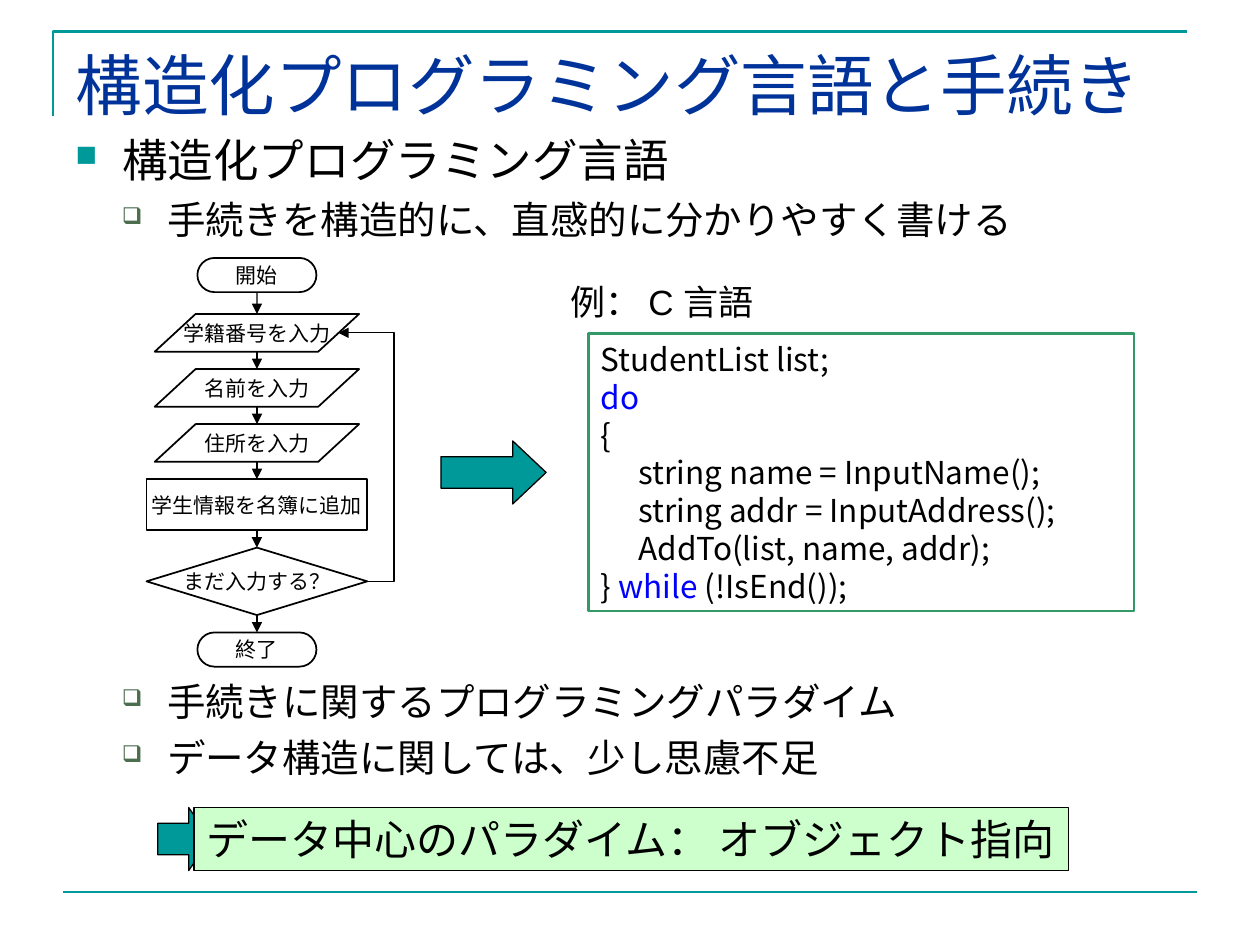
from lxml import etree
from pptx import Presentation
from pptx.dml.color import RGBColor
from pptx.enum.shapes import MSO_CONNECTOR, MSO_SHAPE
from pptx.enum.text import MSO_ANCHOR, PP_ALIGN
from pptx.oxml.ns import qn
from pptx.util import Cm, Pt

STRAIGHT, ELBOW = MSO_CONNECTOR.STRAIGHT, MSO_CONNECTOR.ELBOW
TERMINAL = MSO_SHAPE.ROUNDED_RECTANGLE
INPUT = MSO_SHAPE.FLOWCHART_DATA
PROCESS = MSO_SHAPE.FLOWCHART_PROCESS
DECISION = MSO_SHAPE.FLOWCHART_DECISION
RECTANGLE, RIGHT_ARROW = MSO_SHAPE.RECTANGLE, MSO_SHAPE.RIGHT_ARROW
MIDDLE, TOP = MSO_ANCHOR.MIDDLE, MSO_ANCHOR.TOP
LEFT, CENTER = PP_ALIGN.LEFT, PP_ALIGN.CENTER
SITE_TOP, SITE_BOTTOM = 0, 2


class Theme:
    teal, navy, black, white = "009999", "003399", "000000", "FFFFFF"
    code_border, keyword, banner, sub_bullet = "339966", "0000FF", "CCFFCC", "4C6D4E"
    title_font, body_font, code_font = "Times New Roman", "Arial", "Noto Sans CJK JP"
    title, heading, detail, banner_text, example, code, flow = 38, 26, 22, 24, 20, 18, 12
    line_height = 1.2


def style_shape(shape, fill, line, width):
    shape.shadow.inherit = False
    if fill:
        shape.fill.solid()
        shape.fill.fore_color.rgb = RGBColor.from_string(fill)
    else:
        shape.fill.background()
    shape.line.color.rgb = RGBColor.from_string(line)
    shape.line.width = Pt(width)


def style_paragraph(paragraph, size, font=Theme.body_font, color=Theme.black, align=LEFT):
    paragraph.alignment = align
    for run in paragraph.runs:
        run.font.size = Pt(size)
        run.font.name = font
        run.font.color.rgb = RGBColor.from_string(color)


presentation = Presentation()
presentation.slide_width, presentation.slide_height = Cm(25.4), Cm(19.05)
slide = presentation.slides.add_slide(presentation.slide_layouts[5])
shapes = slide.shapes
connectors = []  # connector, colour, width, has arrowhead

# Frame lines
builder = shapes.build_freeform(Cm(1.07), Cm(2.34))
builder.add_line_segments([(Cm(1.07), Cm(0.64)), (Cm(23.93), Cm(0.64))], close=False)
style_shape(builder.convert_to_shape(), None, Theme.teal, 1.5)
footer = shapes.add_connector(STRAIGHT, Cm(1.27), Cm(17.98), Cm(24.13), Cm(17.98))
connectors.append((footer, Theme.teal, 1.5, False))

# Title
title = shapes.title
title.left, title.top, title.width, title.height = Cm(1.27), Cm(0.8), Cm(22.86), Cm(1.78)
title.text_frame.text = "構造化プログラミング言語と手続き"
title.text_frame.vertical_anchor = MIDDLE
style_paragraph(title.text_frame.paragraphs[0], Theme.title, Theme.title_font, Theme.navy)

# Bulleted text above and below the flowchart
levels = [  # size, margin, indent, bullet, colour, bullet size
    (Theme.heading, 0.95, -0.95, "■", Theme.teal, 65),
    (Theme.detail, 1.85, -0.91, "❑", Theme.sub_bullet, 60),
]
blocks = [
    (2.54, [(0, "構造化プログラミング言語"),
            (1, "手続きを構造的に、直感的に分かりやすく書ける")]),
    (13.54, [(1, "手続きに関するプログラミングパラダイム"),
             (1, "データ構造に関しては、少し思慮不足")]),
]
for top, items in blocks:
    frame = shapes.add_textbox(Cm(1.27), Cm(top), Cm(22.86), Cm(2.97)).text_frame
    frame.word_wrap = True
    frame.text = "\n".join(text for level, text in items)
    for index, (paragraph, (level, text)) in enumerate(zip(frame.paragraphs, items)):
        size, margin, indent, bullet, color, percent = levels[level]
        paragraph.level = level
        properties = paragraph._p.get_or_add_pPr()
        properties.set("marL", str(Cm(margin)))
        properties.set("indent", str(Cm(indent)))
        bullet_color = etree.SubElement(properties, qn("a:buClr"))
        etree.SubElement(bullet_color, qn("a:srgbClr"), val=color)
        etree.SubElement(properties, qn("a:buSzPct"), val=str(percent * 1000))
        etree.SubElement(properties, qn("a:buChar"), char=bullet)
        paragraph.line_spacing = Pt(size * Theme.line_height)
        if index:
            paragraph.space_before = Pt(5.5)
        style_paragraph(paragraph, size)

# Flowchart steps: shape, text, width, height, gap below
steps = [
    (TERMINAL, "開始", 2.4, 0.69, 0.44),
    (INPUT, "学籍番号を入力", 4.12, 0.76, 0.35),
    (INPUT, "名前を入力", 4.12, 0.76, 0.35),
    (INPUT, "住所を入力", 4.12, 0.76, 0.35),
    (PROCESS, "学生情報を名簿に追加", 4.45, 1.03, 0.35),
    (DECISION, "まだ入力する？", 4.45, 1.36, 0.35),
    (TERMINAL, "終了", 2.4, 0.69, 0),
]
flow_center, top = 5.18, 5.2
flow_shapes = []
for kind, text, width, height, gap in steps:
    shape = shapes.add_shape(kind, Cm(flow_center - width / 2), Cm(top), Cm(width), Cm(height))
    if kind == TERMINAL:
        shape.adjustments[0] = 0.5
    style_shape(shape, Theme.white, Theme.black, 1)
    shape.text_frame.text = text
    shape.text_frame.word_wrap = False
    shape.text_frame.vertical_anchor = MIDDLE
    style_paragraph(shape.text_frame.paragraphs[0], Theme.flow, align=CENTER)
    flow_shapes.append(shape)
    top += height + gap

# Arrows between consecutive steps
for upper, lower in zip(flow_shapes, flow_shapes[1:]):
    arrow = shapes.add_connector(STRAIGHT, Cm(flow_center), upper.top + upper.height,
                                 Cm(flow_center), lower.top)
    if upper.auto_shape_type != INPUT:
        arrow.begin_connect(upper, SITE_BOTTOM)
    if lower.auto_shape_type != INPUT:
        arrow.end_connect(lower, SITE_TOP)
    connectors.append((arrow, Theme.black, 0.75, True))

# Loop back from the decision to the first input
first_input, decision = flow_shapes[1], flow_shapes[5]
loop = shapes.add_connector(ELBOW, decision.left + decision.width,
                            decision.top + decision.height // 2,
                            Cm(6.82), first_input.top + first_input.height // 2)
adjustments = loop._element.spPr.find(qn("a:prstGeom")).get_or_add_avLst()
etree.SubElement(adjustments, qn("a:gd"), name="adj1", fmla="val -92200")
connectors.append((loop, Theme.black, 0.75, True))

# Line formatting for all connectors
for connector, color, width, has_head in connectors:
    connector.line.color.rgb = RGBColor.from_string(color)
    connector.line.width = Pt(width)
    if has_head:
        etree.SubElement(connector.line._get_or_add_ln(), qn("a:tailEnd"), type="triangle")
    etree.SubElement(connector._element.spPr, qn("a:effectLst"))

# Code example
code_lines = [
    ["StudentList list;"],
    ["do"],
    ["{"],
    ["\tstring name = InputName();"],
    ["\tstring addr = InputAddress();"],
    ["\tAddTo(list, name, addr);"],
    ["} ", "while", " (!IsEnd());"],
]
code_box = shapes.add_shape(RECTANGLE, Cm(11.86), Cm(6.73), Cm(11), Cm(5.59))
style_shape(code_box, Theme.white, Theme.code_border, 1.5)
frame = code_box.text_frame
frame.vertical_anchor = TOP
for index, tokens in enumerate(code_lines):
    paragraph = frame.add_paragraph() if index else frame.paragraphs[0]
    tabs = etree.SubElement(paragraph._p.get_or_add_pPr(), qn("a:tabLst"))
    etree.SubElement(tabs, qn("a:tab"), pos=str(Cm(0.76)), algn="l")
    for token in tokens:
        paragraph.add_run().text = token
    paragraph.line_spacing = Pt(Theme.code * Theme.line_height)
    style_paragraph(paragraph, Theme.code, Theme.code_font)
    for run in paragraph.runs:
        if run.text in ("do", "while"):
            run.font.color.rgb = RGBColor.from_string(Theme.keyword)

# Block arrows
for left, top, width, head in [(8.89, 8.89, 2.12, 0.53), (3.18, 16.28, 1.06, 0.41)]:
    block_arrow = shapes.add_shape(RIGHT_ARROW, Cm(left), Cm(top), Cm(width), Cm(1.27))
    block_arrow.adjustments[1] = head
    style_shape(block_arrow, Theme.teal, Theme.black, 0.75)

# Example label and conclusion banner, with the right margin left free for the text
label = shapes.add_textbox(Cm(11.25), Cm(5.51), Cm(4.8), Cm(1.12))
banner = shapes.add_shape(RECTANGLE, Cm(3.91), Cm(16.28), Cm(17.63), Cm(1.27))
style_shape(banner, Theme.banner, Theme.black, 0.75)
for shape, text, size in [(label, "例： C 言語", Theme.example),
                          (banner, "データ中心のパラダイム： オブジェクト指向", Theme.banner_text)]:
    shape.text_frame.text = text
    shape.text_frame.word_wrap = True
    shape.text_frame.margin_right = 0
    shape.text_frame.vertical_anchor = MIDDLE
    style_paragraph(shape.text_frame.paragraphs[0], size)

presentation.save("out.pptx")
